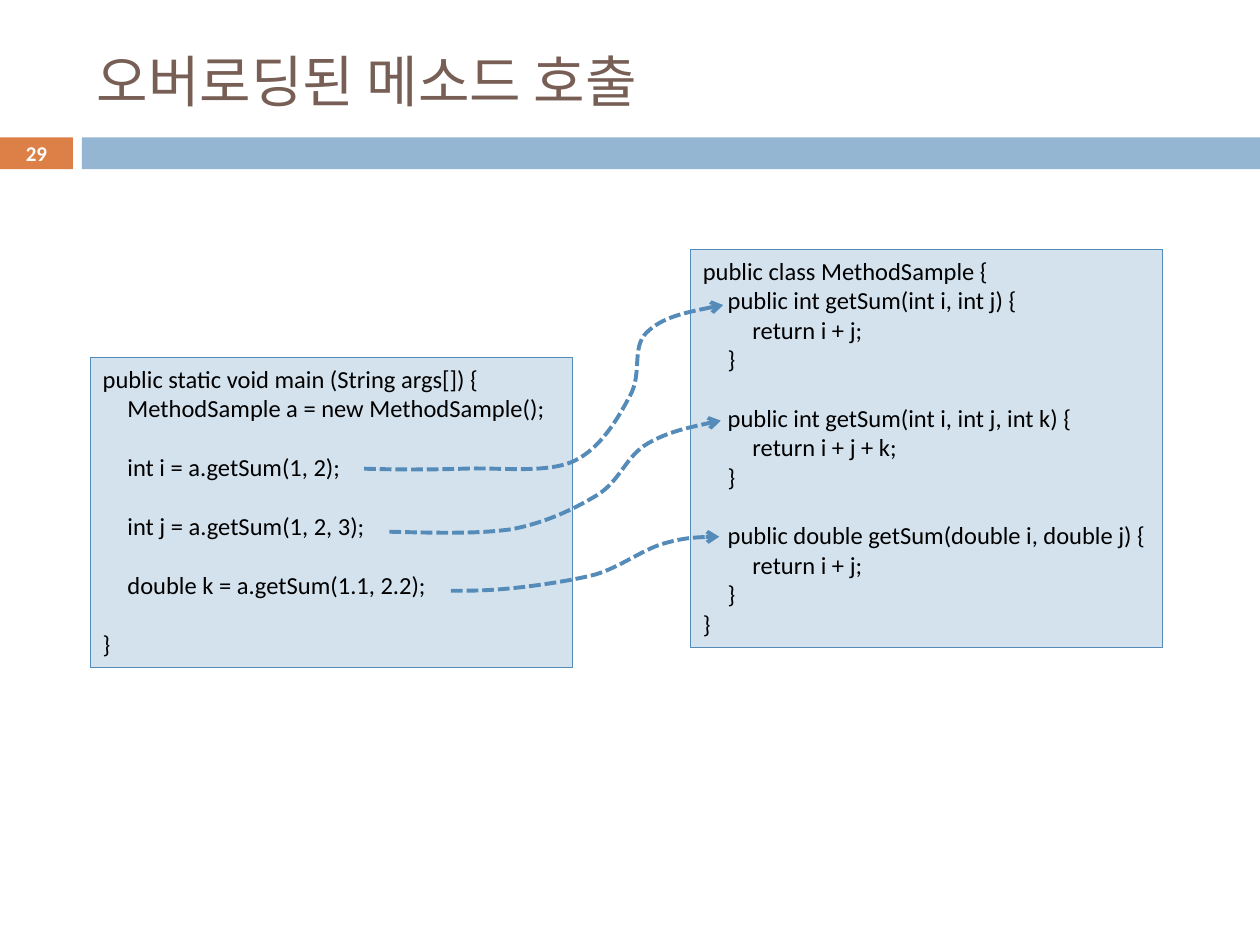
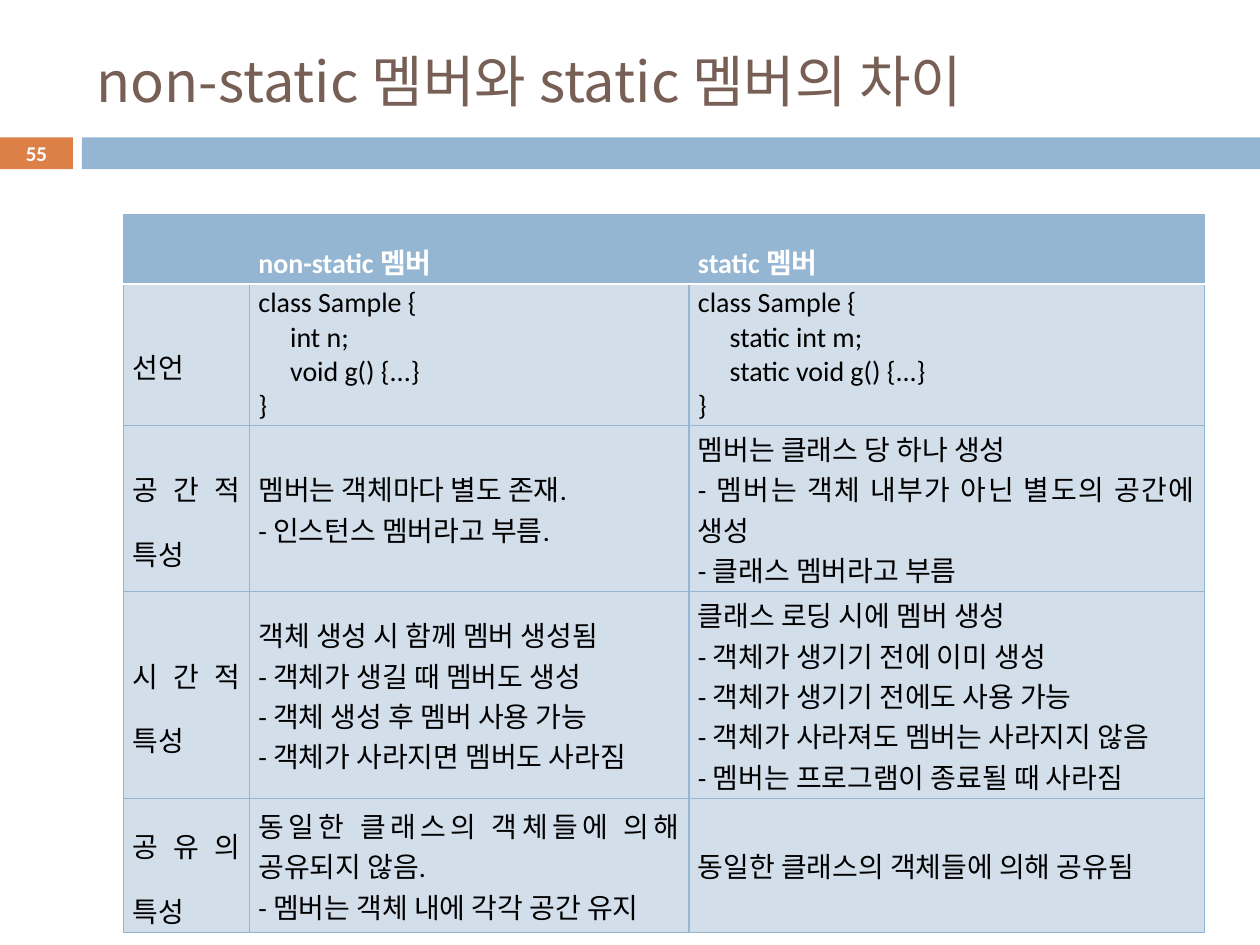
from lxml.etree import SubElement
from pptx import Presentation
from pptx.dml.color import RGBColor
from pptx.enum.dml import MSO_LINE
from pptx.enum.shapes import MSO_SHAPE as Shape
from pptx.enum.text import MSO_ANCHOR as Anchor, PP_ALIGN as Align
from pptx.oxml.ns import qn
from pptx.util import Cm, Pt

WHITE = RGBColor(0xFF, 0xFF, 0xFF)
BLACK = RGBColor(0, 0, 0)
BROWN = RGBColor(0x77, 0x5F, 0x55)
ORANGE = RGBColor(0xDD, 0x80, 0x47)
BLUE = RGBColor(0x94, 0xB6, 0xD2)
DARK_BLUE = RGBColor(0x55, 0x8B, 0xB8)
PALE_BLUE = RGBColor(0xD4, 0xE2, 0xED)
CELL_BLUE = RGBColor(0xD2, 0xDE, 0xEA)
LATIN, KOREAN = "Calibri", "Noto Sans CJK KR"

CALL_TITLE = "오버로딩된 메소드 호출"
CLASS_CODE = [
    "public class MethodSample {",
    "\tpublic int getSum(int i, int j) {",
    "\t\treturn i + j;",
    "\t}",
    "",
    "\tpublic int getSum(int i, int j, int k) {",
    "\t\treturn i + j + k;",
    "\t}",
    "",
    "\tpublic double getSum(double i, double j) {",
    "\t\treturn i + j;",
    "\t}",
    "}",
]
MAIN_CODE = [
    "public static void main (String args[]) {",
    "\tMethodSample a = new MethodSample();",
    "",
    "\tint i = a.getSum(1, 2);",
    "",
    "\tint j = a.getSum(1, 2, 3);",
    "",
    "\tdouble k = a.getSum(1.1, 2.2);",
    "",
    "}",
]
CODE_BOXES = [
    (CLASS_CODE, (13.92, 5.03, 9.52, 8.03)),
    (MAIN_CODE, (1.82, 7.21, 9.73, 6.25)),
]
CALL_CURVES = [
    [(7.34, 9.45), (8, 9.47), (8.66, 9.47), (9.35, 9.45),
     (10.06, 9.42), (11, 9.55), (11.56, 9.3),
     (12.12, 9.04), (12.47, 8.41), (12.7, 7.98),
     (12.95, 7.54), (12.73, 7.01), (13.03, 6.71),
     (13.34, 6.4), (13.94, 6.27), (14.58, 6.15)],
    [(7.85, 10.72), (8.71, 10.74), (9.6, 10.77), (10.31, 10.67),
     (11, 10.54), (11.58, 10.26), (12.04, 9.98),
     (12.5, 9.7), (12.62, 9.19), (13.06, 8.94),
     (13.46, 8.71), (14, 8.59), (14.53, 8.48)],
    [(9.09, 11.91), (9.45, 11.91), (9.8, 11.91), (10.31, 11.86),
     (10.8, 11.81), (11.51, 11.71), (12.01, 11.58),
     (12.5, 11.43), (12.93, 11.1), (13.34, 10.97),
     (13.74, 10.85), (14.12, 10.82), (14.5, 10.82)],
]

MEMBER_TITLE = "non-static 멤버와 static 멤버의 차이"
MEMBER_ROWS = [
    ([], ["non-static 멤버"], ["static 멤버"]),
    (["선언"],
     ["class Sample {", "\tint n;", "\tvoid g() {...}", "}"],
     ["class Sample {", "\tstatic int m;", "\tstatic void g() {...}", "}"]),
    (["공간적 특성"],
     ["멤버는 객체마다 별도 존재.", "- 인스턴스 멤버라고 부름."],
     ["멤버는 클래스 당 하나 생성",
      "- 멤버는 객체 내부가 아닌 별도의 공간에 생성",
      "- 클래스 멤버라고 부름"]),
    (["시간적 특성"],
     ["객체 생성 시 함께 멤버 생성됨",
      "- 객체가 생길 때 멤버도 생성",
      "- 객체 생성 후 멤버 사용 가능",
      "- 객체가 사라지면 멤버도 사라짐"],
     ["클래스 로딩 시에 멤버 생성",
      "- 객체가 생기기 전에 이미 생성",
      "- 객체가 생기기 전에도 사용 가능",
      "- 객체가 사라져도 멤버는 사라지지 않음",
      "- 멤버는 프로그램이 종료될 때 사라짐"]),
    (["공유의 특성"],
     ["동일한 클래스의 객체들에 의해 공유되지 않음.",
      "- 멤버는 객체 내에 각각 공간 유지"],
     ["동일한 클래스의 객체들에 의해 공유됨"]),
]
COLUMN_WIDTHS = [2.54, 8.86, 10.39]
ROW_HEIGHTS = [1.4, 2.86, 3.35, 4.17, 2.7]


def write_lines(tf, lines, size, color, font=LATIN, bold=False,
                align=Align.LEFT, spacing=None, indent=0.5):
    p, gap = None, False
    for line in lines:
        if not line:
            gap = True
            continue
        p = tf.add_paragraph() if p else tf.paragraphs[0]
        text = line.lstrip("\t")
        p.add_run().text = text
        p.alignment = align
        if spacing:
            p.line_spacing = spacing
        if gap:
            p.space_before = Pt(size * 1.2)
            gap = False
        p.font.size, p.font.bold, p.font.name = Pt(size), bold, font
        p.font.color.rgb = color
        props = p._p.get_or_add_pPr()
        props.set("marL", str(Cm(indent * (len(line) - len(text)))))
        props.set("indent", "0")
        SubElement(props.find(qn("a:defRPr")), qn("a:ea"), typeface=KOREAN)


def add_box(s, place, fill, line=None):
    sp = s.shapes.add_shape(Shape.RECTANGLE, *map(Cm, place))
    sp.shadow.inherit = False
    sp.fill.solid()
    sp.fill.fore_color.rgb = fill
    if line is None:
        sp.line.fill.background()
    else:
        sp.line.color.rgb = line
        sp.line.width = Pt(0.75)
    return sp


def add_slide(prs, title, number):
    s = prs.slides.add_slide(prs.slide_layouts[6])
    add_box(s, (1.65, 2.77, 23.75, 0.64), BLUE)
    tf = add_box(s, (0, 2.77, 1.47, 0.64), ORANGE).text_frame
    tf.margin_top = tf.margin_bottom = 0
    tf.vertical_anchor = Anchor.MIDDLE
    write_lines(tf, [str(number)], 12, WHITE, bold=True, align=Align.CENTER)
    tf = s.shapes.add_textbox(Cm(1.7), Cm(0.64), Cm(22.66), Cm(1.96)).text_frame
    tf.word_wrap = True
    tf.vertical_anchor = Anchor.MIDDLE
    write_lines(tf, [title], 32, BROWN, font=KOREAN)
    return s


def add_call_curve(s, points):
    start, *rest = [(Cm(x), Cm(y)) for x, y in points]
    builder = s.shapes.build_freeform(*start)
    builder.add_line_segments(rest, close=False)
    sp = builder.convert_to_shape()
    sp.shadow.inherit = False
    sp.fill.background()
    sp.line.color.rgb = DARK_BLUE
    sp.line.width = Pt(2.25)
    sp.line.dash_style = MSO_LINE.SQUARE_DOT
    SubElement(sp._element.spPr.find(qn("a:ln")), qn("a:tailEnd"), type="arrow")
    outline = next(sp._element.iter(qn("a:path")))
    steps = outline.findall(qn("a:lnTo"))
    for i in range(0, len(steps), 3):
        curve = SubElement(outline, qn("a:cubicBezTo"))
        for step in steps[i:i + 3]:
            curve.append(step[0])
            outline.remove(step)


def set_border(cell, side, color, width):
    ln = SubElement(cell._tc.get_or_add_tcPr(), qn(f"a:ln{side}"), w=str(Pt(width)))
    SubElement(SubElement(ln, qn("a:solidFill")), qn("a:srgbClr"), val=str(color))


def add_member_table(s):
    frame = s.shapes.add_table(len(MEMBER_ROWS), len(COLUMN_WIDTHS), Cm(2.49), Cm(4.32),
                               Cm(sum(COLUMN_WIDTHS)), Cm(sum(ROW_HEIGHTS)))
    table = frame.table
    table.first_row = table.horz_banding = False
    for column, width in zip(table.columns, COLUMN_WIDTHS):
        column.width = Cm(width)
    for row, height in zip(table.rows, ROW_HEIGHTS):
        row.height = Cm(height)
    for r, texts in enumerate(MEMBER_ROWS):
        header = r == 0
        for c, lines in enumerate(texts):
            cell = table.cell(r, c)
            for side in "LRTB":
                below_header = (r, side) in ((0, "B"), (1, "T"))
                set_border(cell, side, *((WHITE, 1.5) if below_header else (BLUE, 0.79)))
            cell.fill.solid()
            cell.fill.fore_color.rgb = BLUE if header else CELL_BLUE
            cell.vertical_anchor = Anchor.MIDDLE
            cell.margin_left = cell.margin_right = Cm(0.18)
            cell.margin_top = cell.margin_bottom = Cm(0.05)
            write_lines(cell.text_frame, lines, 16, WHITE if header else BLACK,
                        bold=header, align=Align.JUSTIFY, indent=0.64,
                        spacing=1.6 if header or c == 0 else None)


def main():
    prs = Presentation()
    prs.slide_width, prs.slide_height = Cm(25.4), Cm(19.05)

    s = add_slide(prs, CALL_TITLE, 29)
    for code, place in CODE_BOXES:
        tf = add_box(s, place, PALE_BLUE, DARK_BLUE).text_frame
        tf.word_wrap = True
        tf.vertical_anchor = Anchor.TOP
        write_lines(tf, code, 14, BLACK)
    for points in CALL_CURVES:
        add_call_curve(s, points)

    s = add_slide(prs, MEMBER_TITLE, 55)
    add_member_table(s)

    prs.save("out.pptx")


if __name__ == "__main__":
    main()
